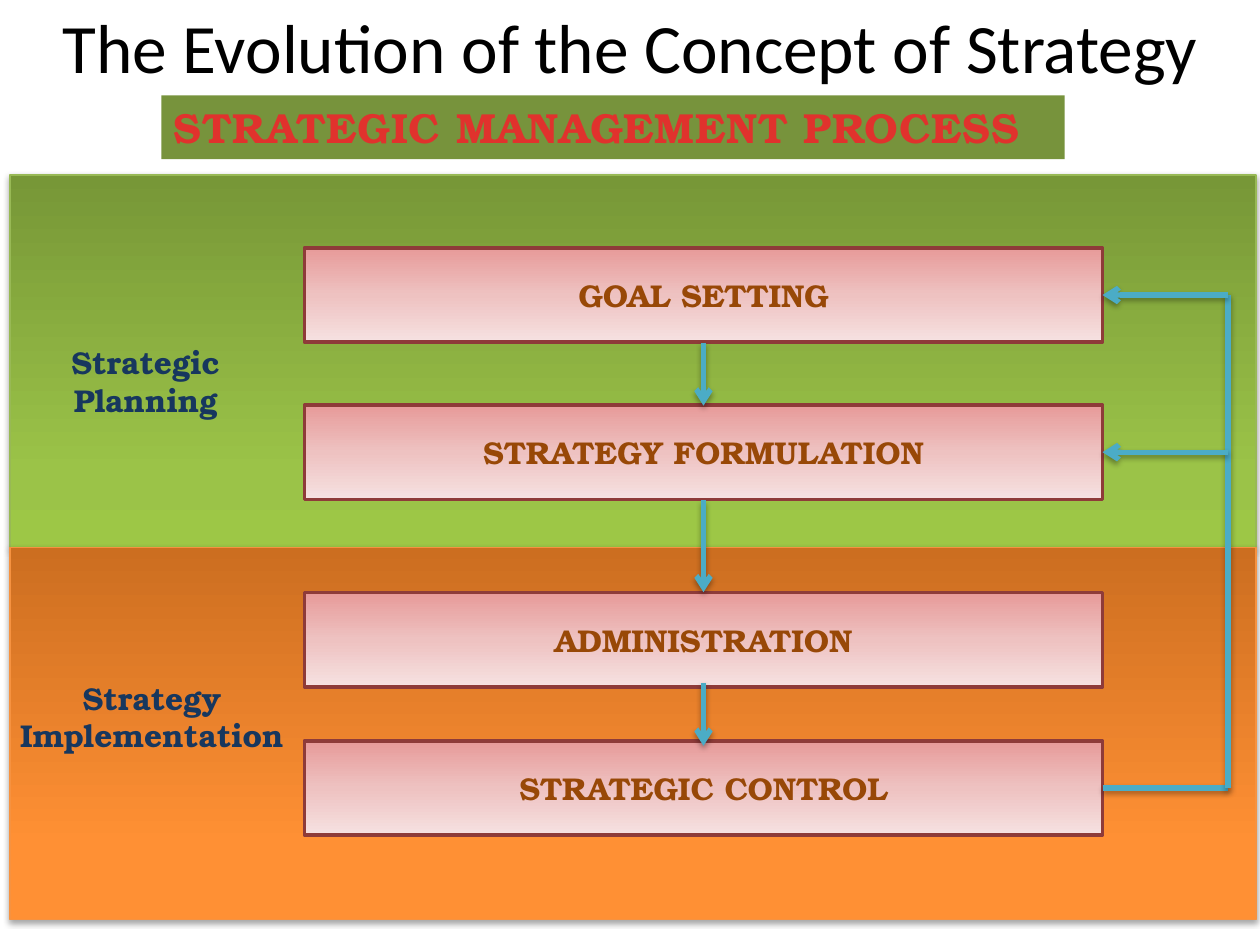
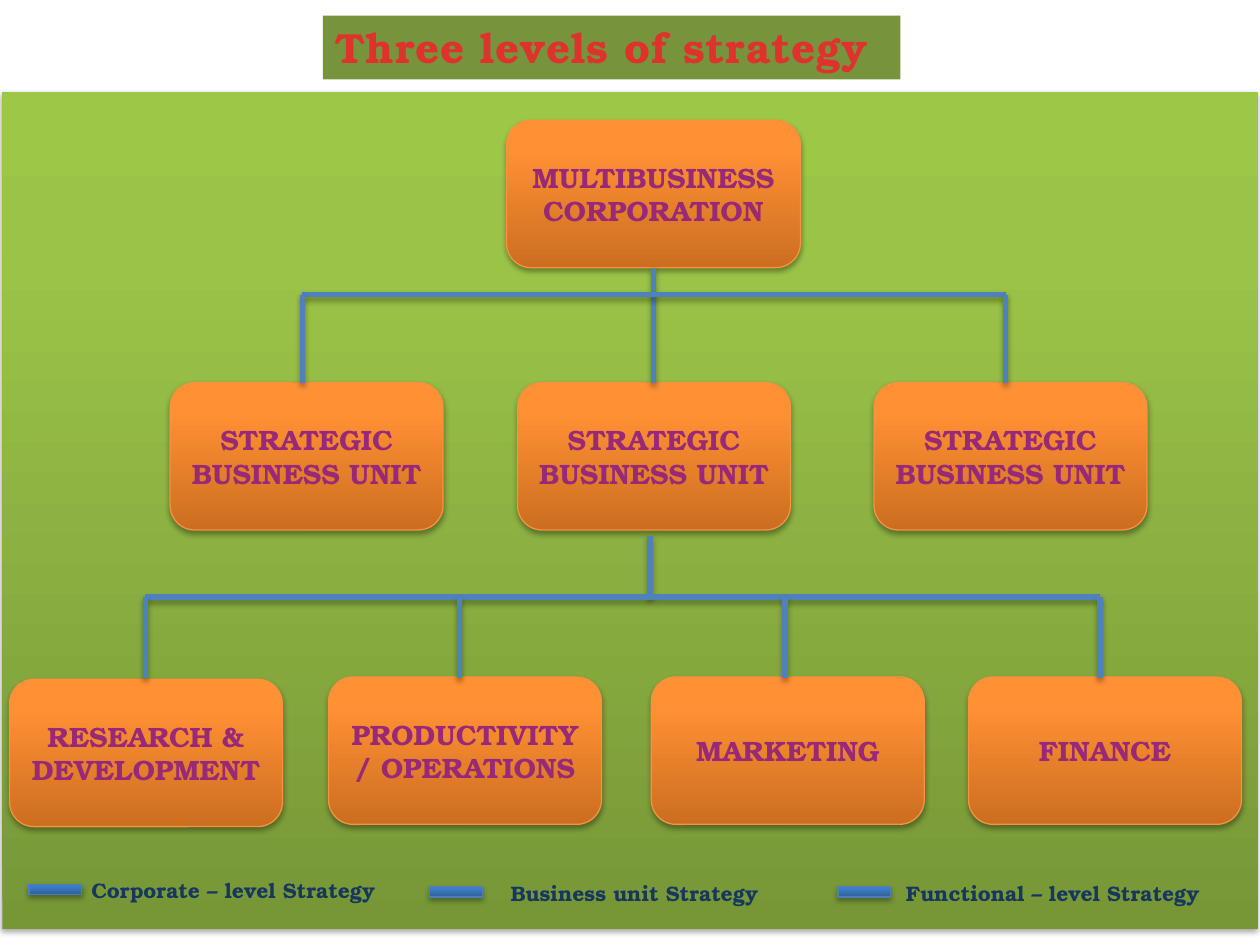
"""Builds two slides on the strategic management process and the levels of strategy."""
from lxml import etree
from pptx import Presentation
from pptx.dml.color import RGBColor
from pptx.enum import shapes, text
from pptx.oxml import ns, parse_xml
from pptx.util import Pt

SERIF, SANS = "TeX Gyre Bonum", "Calibri"
NAVY, RED, OLIVE, BROWN, PURPLE = "17375E", "E0322D", "77933C", "984807", "972978"
TEAL, BLUE = "4BACC6", "4F81BD"
GREEN_FILL = [(0, "779737"), (80, "9BC348"), (100, "9DC746")]
ORANGE_FILL = [(0, "CC6E20"), (80, "FF9034"), (100, "FF9136")]
PINK_FILL = [(0, "E79A99"), (50, "EEC2C1"), (100, "F6E1E1")]
BLUE_FILL = [(0, "2F5F99"), (80, "3D7CC7"), (100, "3A7CCB")]
GREEN_EDGE, ORANGE_EDGE, PINK_EDGE, BLUE_EDGE = "98B955", "F69240", "8E3B39", "4B7EBC"
DOWN, UP = 90, 270
RECT = shapes.MSO_SHAPE.RECTANGLE
ROUND = shapes.MSO_SHAPE.ROUNDED_RECTANGLE
TOP, MIDDLE = text.MSO_ANCHOR.TOP, text.MSO_ANCHOR.MIDDLE


def rgb(value):
    """Turn a hex string into a colour."""
    return RGBColor.from_string(value)


def add_shadow(s):
    """Give a shape or connector the soft shadow below it."""
    effects = etree.SubElement(s._element.spPr, ns.qn("a:effectLst"))
    effects.append(parse_xml(
        f'<a:outerShdw {ns.nsdecls("a")} blurRad="40000" dist="23000" dir="5400000" rotWithShape="0">'
        '<a:srgbClr val="000000"><a:alpha val="35000"/></a:srgbClr></a:outerShdw>'))


def write(s, words, size, color, font=SERIF, bold=True, align=text.PP_ALIGN.CENTER,
          anchor=MIDDLE):
    """Put one styled paragraph into a shape and return its run."""
    tf = s.text_frame
    tf.word_wrap = True
    tf.vertical_anchor = anchor
    if anchor == TOP:
        tf.auto_size = text.MSO_AUTO_SIZE.SHAPE_TO_FIT_TEXT
    p = tf.paragraphs[0]
    p.alignment = align
    p.font.name, p.font.size, p.font.bold = font, Pt(size), bold
    p.font.color.rgb = rgb(color)
    r = p.add_run()
    r.text = words
    return r


def add_label(slide, words, x, y, w, h, size, color=NAVY, anchor=TOP, **style):
    """Add a text box."""
    s = slide.shapes.add_textbox(Pt(x), Pt(y), Pt(w), Pt(h))
    write(s, words, size, color, anchor=anchor, **style)


def add_block(slide, x, y, w, h, stops, angle, edge=None, weight=0.75, kind=RECT, shadow=True):
    """Add a preset shape with a gradient fill."""
    s = slide.shapes.add_shape(kind, Pt(x), Pt(y), Pt(w), Pt(h))
    marks = "".join(f'<a:gs pos="{pos * 1000}"><a:srgbClr val="{color}"/></a:gs>'
                    for pos, color in stops)
    s._element.spPr.insert(2, parse_xml(
        f'<a:gradFill {ns.nsdecls("a")} rotWithShape="1"><a:gsLst>{marks}</a:gsLst>'
        f'<a:lin ang="{angle * 60000}" scaled="0"/></a:gradFill>'))
    if edge:
        s.line.color.rgb = rgb(edge)
        s.line.width = Pt(weight)
    else:
        s.line.fill.background()
    if shadow:
        add_shadow(s)
    else:
        s.shadow.inherit = False
    return s


def add_line(slide, x1, y1, x2, y2, color, arrow=False):
    """Add a thick straight line, with an arrowhead at its end if asked."""
    s = slide.shapes.add_connector(shapes.MSO_CONNECTOR.STRAIGHT, Pt(x1), Pt(y1), Pt(x2), Pt(y2))
    s.line.color.rgb = rgb(color)
    s.line.width = Pt(3)
    if arrow:
        etree.SubElement(s.line._get_or_add_ln(), ns.qn("a:tailEnd"), type="arrow")
    add_shadow(s)


def add_heading(slide, words, x, y, w, h=36.35):
    """Add the olive heading bar."""
    s = slide.shapes.add_shape(RECT, Pt(x), Pt(y), Pt(w), Pt(h))
    s.fill.solid()
    s.fill.fore_color.rgb = rgb(OLIVE)
    s.line.fill.background()
    s.shadow.inherit = False
    r = write(s, words, 24, RED, align=text.PP_ALIGN.LEFT, anchor=TOP)
    r._r.get_or_add_rPr().set("spc", "50")


def add_process(slide, x, y, w, h):
    """Draw the two phases, their four steps and the feedback loop."""
    half = h / 2
    add_block(slide, x, y, w, half, GREEN_FILL, DOWN, GREEN_EDGE)
    add_block(slide, x, y + half, w, half, ORANGE_FILL, DOWN, ORANGE_EDGE)

    step_x, step_w, step_h = x + 168.2, 456, 54
    steps = [("GOAL SETTING", 41.6), ("STRATEGY FORMULATION", 131.4),
             ("ADMINISTRATION", 238.6), ("STRATEGIC CONTROL", 323.3)]
    for words, top in steps:
        s = add_block(slide, step_x, y + top, step_w, step_h, PINK_FILL, DOWN, PINK_EDGE, 2,
                      shadow=False)
        write(s, words, 18, BROWN)

    middle = step_x + step_w / 2
    for start, end in [(95.8, 131.8), (185.8, 238.4), (290.2, 326.2)]:
        add_line(slide, middle, y + start, middle, y + end, TEAL, arrow=True)

    right, loop = step_x + step_w, x + w - 16
    goal, formulation, _, control = (y + top + step_h / 2 for _, top in steps)
    add_line(slide, right, control, loop, control, TEAL)
    add_line(slide, loop, control, loop, goal, TEAL)
    for level in (goal, formulation):
        add_line(slide, loop, level, right, level, TEAL, arrow=True)

    add_label(slide, "Strategic Planning", x + 26.4, y + 92.4, 102.2, 51, 18)
    add_label(slide, "Strategy Implementation", x - 3.6, y + 284.2, 169.2, 51, 18)


def add_branches(slide, parent_x, top, bus, stem_end, bottom, xs):
    """Join a parent to its children through a horizontal bus."""
    add_line(slide, parent_x, top, parent_x, stem_end, BLUE)
    add_line(slide, xs[0], bus, xs[-1], bus, BLUE)
    for child_x in xs:
        add_line(slide, child_x, bottom, child_x, bus, BLUE)


def add_levels(slide, x, y, w, h):
    """Draw the organisation tree on its green panel."""
    add_block(slide, x, y, w, h, GREEN_FILL, UP)
    unit_w, unit_h = 156, 84.2
    unit = "STRATEGIC BUSINESS UNIT"
    nodes = [("MULTIBUSINESS CORPORATION", 288, 16.2, 168),
             (unit, 95.8, 166.1, unit_w), (unit, 294.3, 166.1, unit_w),
             (unit, 498, 166.1, unit_w),
             ("RESEARCH & DEVELOPMENT", 4, 335.6, unit_w),
             ("PRODUCTIVITY / OPERATIONS", 186.3, 334.3, unit_w),
             ("MARKETING", 370.8, 334.3, unit_w), ("FINANCE", 552, 334.3, unit_w)]
    for words, left, top, width in nodes:
        s = add_block(slide, x + left, y + top, width, unit_h, ORANGE_FILL, UP, ORANGE_EDGE,
                      kind=ROUND)
        write(s, words, 16, PURPLE)
    add_branches(slide, x + 372.2, y + 100.4, y + 115.9, y + 166.3, y + 166.3,
                 [x + 171.4, x + 573.3])
    add_branches(slide, x + 370.1, y + 253.4, y + 288.6, y + 289.4, y + 334.8,
                 [x + 81.7, x + 261.4, x + 447.1, x + 627.1])


def add_legend(slide, x, y):
    """Draw the three keys below the tree."""
    keys = [("Corporate – level Strategy", 0, 0, 17.8),
            ("Business unit Strategy", 229, 1.4, 18),
            ("Functional – level Strategy", 462.2, 1.4, 23.8)]
    for words, left, drop, gap in keys:
        add_block(slide, x + left, y + drop, 30.2, 5.8, BLUE_FILL, UP, BLUE_EDGE)
        add_label(slide, words, x + left + gap, y + drop - 7.2, 198, 21.6, 12)


def main():
    """Build and save both slides."""
    prs = Presentation()
    prs.slide_width, prs.slide_height = Pt(720), Pt(540)
    blank = prs.slide_layouts[6]

    process = prs.slides.add_slide(blank)
    add_label(process, "The Evolution of the Concept of Strategy", 14.2, 15.1, 692, 22.3, 39.6,
              "000000", anchor=MIDDLE, font=SANS, bold=False)
    add_process(process, 5.8, 100, 712, 425.4)
    add_heading(process, "STRATEGIC MANAGEMENT PROCESS", 92.2, 54.6, 516.2)

    levels = prs.slides.add_slide(blank)
    add_levels(levels, 1.4, 52.6, 717.4, 478.4)
    add_heading(levels, "Three levels of strategy", 184.6, 9, 330)
    add_legend(levels, 16.6, 505.4)

    prs.save("out.pptx")


if __name__ == "__main__":
    main()
